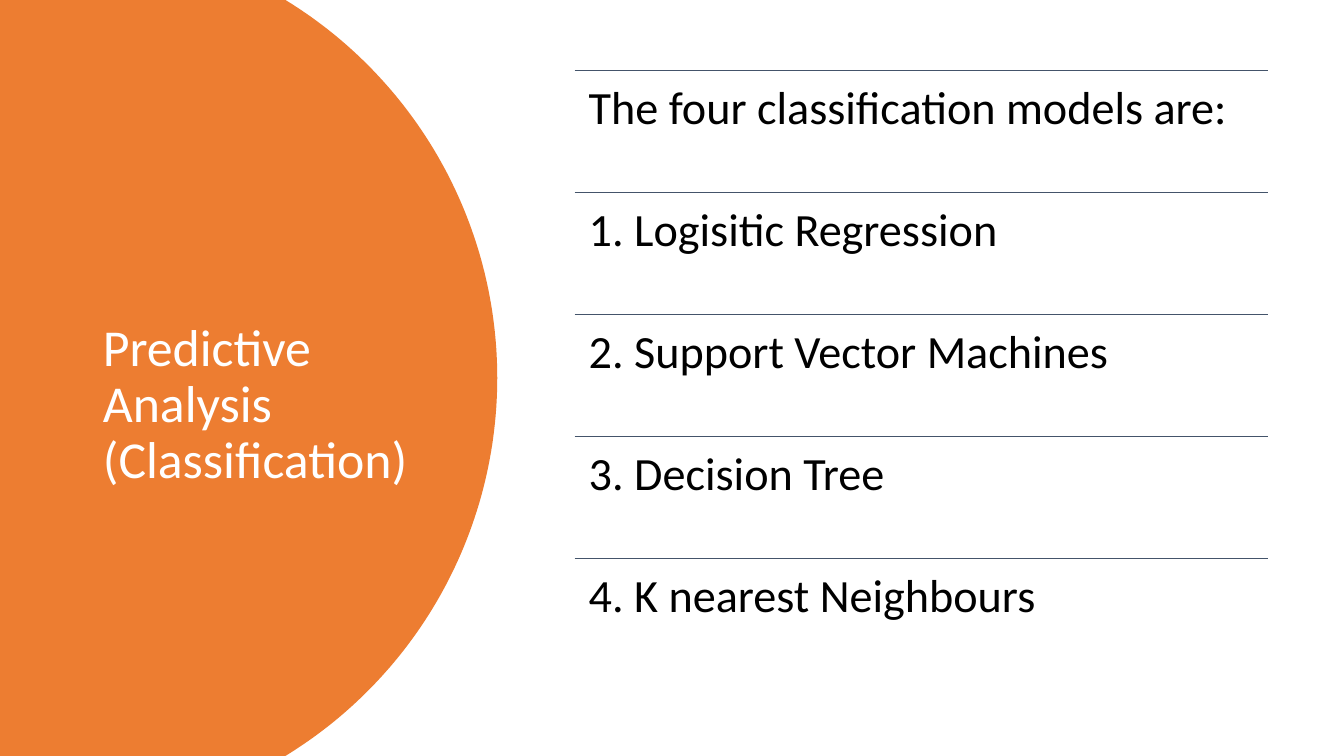
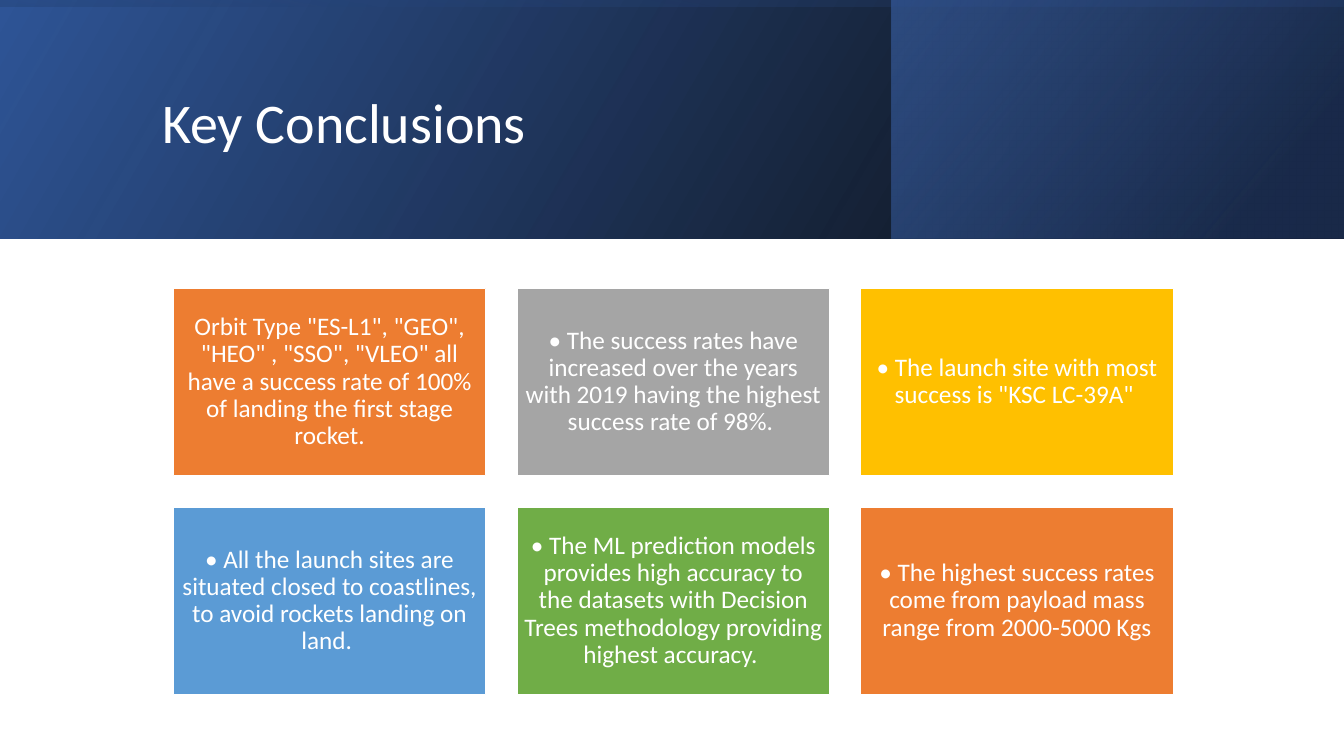
from collections import namedtuple
from math import asin, cos, sin

from lxml import etree
from pptx import Presentation
from pptx.dml.color import RGBColor
from pptx.enum.shapes import MSO_CONNECTOR, MSO_SHAPE
from pptx.enum.text import MSO_ANCHOR, MSO_AUTO_SIZE, PP_ALIGN
from pptx.oxml.ns import qn
from pptx.util import Inches, Pt

RECT, LINE = MSO_SHAPE.RECTANGLE, MSO_CONNECTOR.STRAIGHT
TOP, MIDDLE = MSO_ANCHOR.TOP, MSO_ANCHOR.MIDDLE
LEFT, CENTER = PP_ALIGN.LEFT, PP_ALIGN.CENTER
FIXED = MSO_AUTO_SIZE.NONE

WIDE, HIGH = Inches(13.33), Inches(7.5)
FONT = "Calibri"
WHITE = RGBColor(0xFF, 0xFF, 0xFF)
BLACK = RGBColor(0, 0, 0)
SLATE = RGBColor(0x44, 0x54, 0x6A)
ORANGE = RGBColor(0xED, 0x7D, 0x31)
GRAY = RGBColor(0xA5, 0xA5, 0xA5)
GOLD = RGBColor(0xFF, 0xC0, 0x00)
SKY = RGBColor(0x5B, 0x9B, 0xD5)
GREEN = RGBColor(0x70, 0xAD, 0x47)
NAVY = RGBColor(0x2F, 0x55, 0x97)
DEEP = RGBColor(0x20, 0x38, 0x64)
BLUE = RGBColor(0x44, 0x72, 0xC4)

MODELS = [
    "The four classification models are:\u00a0".rstrip(),
    "1. Logisitic Regression",
    "2. Support Vector Machines",
    "3. Decision Tree",
    "4. K nearest Neighbours",
]
POINTS = [
    (ORANGE, 'Orbit Type "ES-L1", "GEO", "HEO" , "SSO", "VLEO" all have a '
             "success rate of 100% of landing the first stage rocket."),
    (GRAY, "• The success rates have increased over the years with 2019 "
           "having the highest success rate of 98%. "),
    (GOLD, '• The launch site with most success is "KSC LC-39A" '),
    (SKY, "• All the launch sites are situated closed to coastlines, "
          "to avoid rockets landing on land. "),
    (GREEN, "• The ML prediction models provides high accuracy to the datasets "
            "with Decision Trees methodology providing highest accuracy. "),
    (ORANGE, "• The highest success rates come from payload mass range "
             "from 2000-5000 Kgs"),
]

Box = namedtuple("Box", "x y w h")


def share(x, y, w, h):
    return Box(int(WIDE * x / 100), int(HIGH * y / 100),
               int(WIDE * w / 100), int(HIGH * h / 100))


def grid(box, cols, rows, gap=0):
    w = (box.w - gap * (cols - 1)) // cols
    h = (box.h - gap * (rows - 1)) // rows
    return [Box(box.x + c * (w + gap), box.y + r * (h + gap), w, h)
            for r in range(rows) for c in range(cols)]


def write(shape, text, size, color, align=LEFT, anchor=MIDDLE, inset=None):
    frame = shape.text_frame
    frame.text = text
    frame.word_wrap = True
    frame.auto_size = FIXED
    frame.vertical_anchor = anchor
    if inset is not None:
        frame.margin_left = frame.margin_right = inset
        frame.margin_top = frame.margin_bottom = inset
    for para in frame.paragraphs:
        para.alignment = align
        para.line_spacing = 0.9
        for run in para.runs:
            run.font.name = FONT
            run.font.size = Pt(size)
            run.font.color.rgb = color


def title(slide, box, text, size):
    head = slide.shapes.title
    head.left, head.top, head.width, head.height = box
    write(head, text, size, WHITE)
    slide.shapes._spTree.append(head._element)


def paint(shape, color):
    shape.shadow.inherit = False
    shape.fill.solid()
    shape.fill.fore_color.rgb = color
    shape.line.fill.background()


def disc(slide, box):
    bulge = box.w * 0.426
    half = box.h / 2
    radius = (bulge ** 2 + half ** 2) / (2 * bulge)
    mid = box.x + box.w - radius
    sweep = asin(half / radius)
    steps = 120
    turns = [sweep * (2 * i / steps - 1) for i in range(steps + 1)]
    arc = [(int(mid + radius * cos(t)), int(box.y + half + radius * sin(t)))
           for t in turns]
    pen = slide.shapes.build_freeform(box.x, box.y)
    pen.add_line_segments(arc + [(box.x, box.y + box.h)], close=True)
    paint(pen.convert_to_shape(), ORANGE)


def rule(slide, box):
    line = slide.shapes.add_connector(LINE, box.x, box.y, box.x + box.w, box.y)
    line.line.color.rgb = SLATE
    line.line.width = Pt(1)
    etree.SubElement(line._element.spPr, qn("a:effectLst"))


def ruled(slide, box, items):
    for cell, text in zip(grid(box, 1, len(items)), items):
        rule(slide, cell)
        note = slide.shapes.add_textbox(*cell)
        write(note, text, 33, BLACK, anchor=TOP, inset=Inches(0.14))


def blend(slide, box, stops, angle, turn=0):
    shape = slide.shapes.add_shape(RECT, *box)
    paint(shape, NAVY)
    shape.rotation = turn
    props = shape._element.spPr
    props.find(qn("a:xfrm")).set("flipH", "1")
    fill = etree.Element(qn("a:gradFill"), rotWithShape="1")
    ramp = etree.SubElement(fill, qn("a:gsLst"))
    for at, color, alpha in stops:
        stop = etree.SubElement(ramp, qn("a:gs"), pos=str(at * 1000))
        tone = etree.SubElement(stop, qn("a:srgbClr"), val=str(color))
        etree.SubElement(tone, qn("a:alpha"), val=str(alpha * 1000))
    etree.SubElement(fill, qn("a:lin"), ang=str(angle * 60000), scaled="0")
    props.replace(props.find(qn("a:solidFill")), fill)


def band(slide, box):
    blend(slide, box, [(0, BLACK, 96), (100, NAVY, 100)], 330)
    side = int(box.w * 0.34)
    left = int(box.w * 0.6632)
    panel = Box(box.x + left, box.y, min(side, box.w - left), box.h)
    blend(slide, panel, [(19, DEEP, 68), (100, BLUE, 48)], 320)
    shift = (box.w - box.h) // 2
    tall = Box(box.x + shift, box.y - shift, box.h, box.w)
    blend(slide, tall, [(23, NAVY, 16), (99, BLACK, 45)], 350, 270)


def tiles(slide, box, items):
    cells = grid(box, 3, 2, Inches(0.31))
    for cell, (color, text) in zip(cells, items):
        tile = slide.shapes.add_shape(RECT, *cell)
        paint(tile, color)
        tile.line.color.rgb = WHITE
        tile.line.width = Pt(1)
        write(tile, text, 18, WHITE, CENTER, inset=Inches(0.07))


def models(slide):
    disc(slide, share(0, 0, 37, 100))
    title(slide, share(6.9, 16.8, 24.23, 73.73),
          "Predictive Analysis (Classification)", 37)
    ruled(slide, share(42.75, 9.33, 51.6, 80.67), MODELS)


def ending(slide):
    band(slide, share(0, 0, 100, 31.6))
    title(slide, share(11.33, 5.07, 79.73, 22.93), "Key Conclusions", 40)
    tiles(slide, share(12.9, 38.13, 74.4, 53.73), POINTS)


def main():
    deck = Presentation()
    deck.slide_width, deck.slide_height = WIDE, HIGH
    for build in (models, ending):
        build(deck.slides.add_slide(deck.slide_layouts[5]))
    deck.save("out.pptx")


if __name__ == "__main__":
    main()
